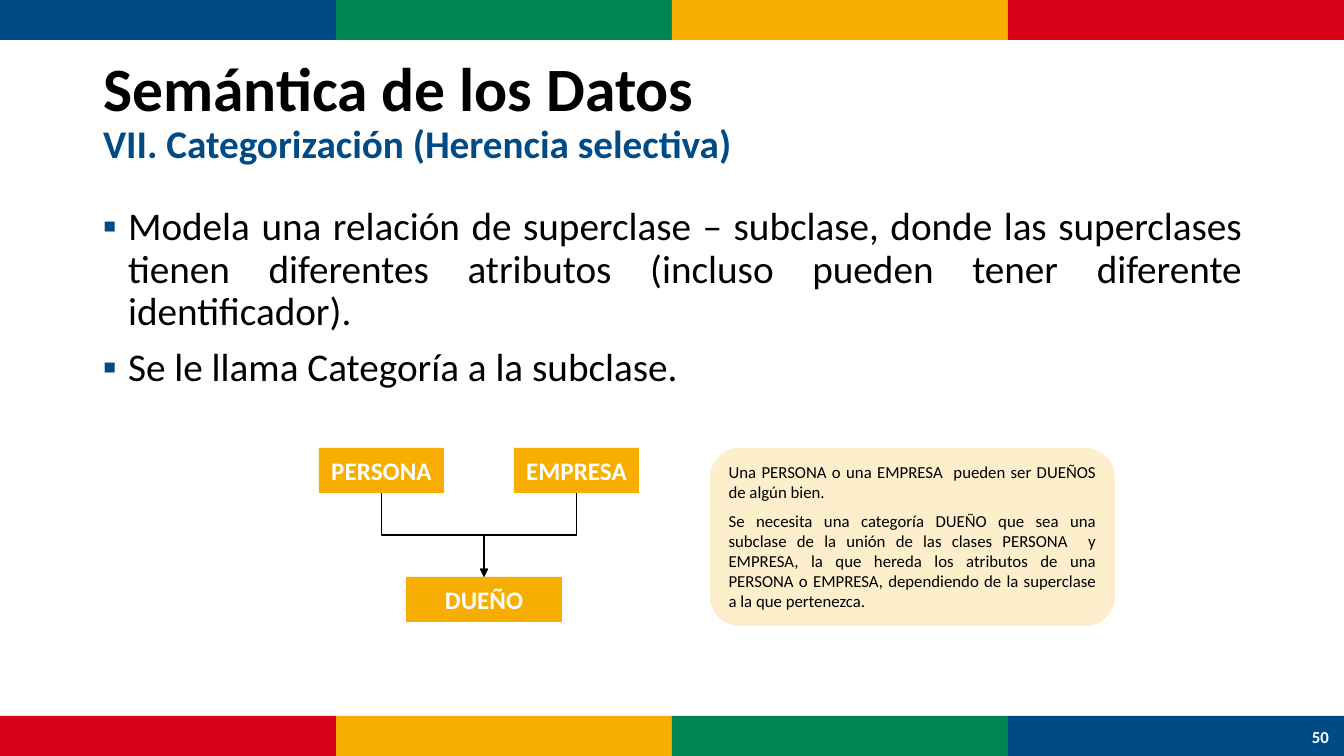
from lxml.etree import SubElement
from pptx import Presentation
from pptx.dml.color import RGBColor
from pptx.enum.shapes import MSO_CONNECTOR as Connector, MSO_SHAPE as Shape
from pptx.enum.text import MSO_ANCHOR as Anchor, MSO_AUTO_SIZE as AutoSize, PP_ALIGN as Align
from pptx.oxml.ns import qn
from pptx.util import Pt

PX = 12192000 / 1344
BLUE, GREEN, AMBER, RED = "004B85", "008452", "F7AE00", "D60019"
BLACK, WHITE = "000000", "FFFFFF"


def px(*lengths):
    return [round(length * PX) for length in lengths]


def write(paragraph, text, size, color, bold=False):
    run = paragraph.add_run()
    run.text = text
    values = {"name": "Calibri", "size": Pt(size), "bold": bold}
    for name, value in values.items():
        setattr(run.font, name, value)
    run.font.color.rgb = RGBColor.from_string(color)


presentation = Presentation()
presentation.slide_width, presentation.slide_height = px(1344, 756)
slide = presentation.slides.add_slide(presentation.slide_layouts[5])
shapes = slide.shapes

# Colour bands along the top and bottom edges
for top, colors in ((0, (BLUE, GREEN, AMBER, RED)), (716, (RED, AMBER, GREEN, BLUE))):
    for column, color in enumerate(colors):
        band = shapes.add_shape(Shape.RECTANGLE, *px(column * 336, top, 336, 40))
        band.shadow.inherit = False
        band.fill.solid()
        band.fill.fore_color.rgb = RGBColor.from_string(color)
        band.line.fill.background()

# Title and subtitle
title = shapes.title
title.left, title.top, title.width, title.height = px(93, 40, 1159, 146)
title.text_frame.auto_size = AutoSize.NONE
title.text_frame.vertical_anchor = Anchor.MIDDLE
heading = title.text_frame.paragraphs[0]
heading.alignment = Align.LEFT
heading.line_spacing = 0.9
write(heading, "Semántica de los Datos", 44, BLACK, True)
heading.add_line_break()
write(heading, "VII. Categorización (Herencia selectiva)", 28, BLUE, True)

# Bulleted body
bullets = (
    "Modela una relación de superclase – subclase, donde las superclases tienen "
    "diferentes atributos (incluso pueden tener diferente identificador).",
    "Se le llama Categoría a la subclase.",
)
body = shapes.add_textbox(*px(93, 202, 1159, 480)).text_frame
body.word_wrap = True
for index, text in enumerate(bullets):
    paragraph = body.add_paragraph() if index else body.paragraphs[0]
    properties = paragraph._p.get_or_add_pPr()
    properties.set("marL", "228600")
    properties.set("indent", "-228600")
    bullet_color = SubElement(properties, qn("a:buClr"))
    SubElement(bullet_color, qn("a:srgbClr"), val=BLUE)
    SubElement(properties, qn("a:buFont"), typeface="Calibri")
    SubElement(properties, qn("a:buChar"), char="▪")
    paragraph.alignment = Align.JUSTIFY
    paragraph.line_spacing = 0.9
    paragraph.space_before = Pt(10 if index else 0)
    write(paragraph, text, 28, BLACK)

# Slide number
number = shapes.add_textbox(*px(1297, 717, 47, 40)).text_frame
number.word_wrap = True
number.vertical_anchor = Anchor.MIDDLE
number.paragraphs[0].alignment = Align.CENTER
write(number.paragraphs[0], "50", 12, WHITE, True)

# Entities of the category diagram
entities = {}
for name, left, top, width in (
    ("DUEÑO", 406, 577, 156),
    ("EMPRESA", 514, 448, 125),
    ("PERSONA", 319, 448, 125),
):
    entity = shapes.add_shape(Shape.RECTANGLE, *px(left, top, width, 45))
    entity.shadow.inherit = False
    entity.fill.solid()
    entity.fill.fore_color.rgb = RGBColor.from_string(AMBER)
    entity.line.fill.background()
    entity.text_frame.vertical_anchor = Anchor.MIDDLE
    entity.text_frame.paragraphs[0].alignment = Align.CENTER
    write(entity.text_frame.paragraphs[0], name, 18, WHITE, True)
    entities[name] = entity

# Elbow arrows: a quarter turn makes them leave the superclass downwards
category = entities["DUEÑO"]
end_x, end_y = category.left + category.width // 2, category.top
for name, turn, flip in (("PERSONA", 270, "1"), ("EMPRESA", 90, "0")):
    entity = entities[name]
    start_x, start_y = entity.left + entity.width // 2, entity.top + entity.height
    arrow = shapes.add_connector(Connector.ELBOW, start_x, start_y, end_x, end_y)
    arrow.begin_connect(entity, 2)
    arrow.end_connect(category, 0)
    length, breadth = end_y - start_y, abs(end_x - start_x)
    arrow.left = (start_x + end_x - length) // 2
    arrow.top = (start_y + end_y - breadth) // 2
    arrow.width, arrow.height = length, breadth
    arrow_properties = arrow._element.spPr
    frame = arrow_properties.find(qn("a:xfrm"))
    for key, value in {"rot": str(turn * 60000), "flipH": flip, "flipV": "0"}.items():
        frame.set(key, value)
    arrow.line.width = Pt(1)
    arrow.line.color.rgb = RGBColor.from_string(BLACK)
    SubElement(arrow_properties.find(qn("a:ln")), qn("a:tailEnd"), type="triangle")
    SubElement(arrow_properties, qn("a:effectLst"))

# Explanatory note
note = shapes.add_shape(Shape.ROUNDED_RECTANGLE, *px(710, 448, 405, 178))
note.shadow.inherit = False
note.fill.solid()
note.fill.fore_color.rgb = RGBColor.from_string(AMBER)
note_color = note._element.spPr.find(qn("a:solidFill")).find(qn("a:srgbClr"))
SubElement(note_color, qn("a:alpha"), val="20000")
note.line.fill.background()
note.text_frame.vertical_anchor = Anchor.TOP
note.text_frame.auto_size = AutoSize.SHAPE_TO_FIT_TEXT
explanations = (
    "Una PERSONA o una EMPRESA  pueden ser DUEÑOS de algún bien.",
    "Se necesita una categoría DUEÑO que sea una subclase de la unión de las clases "
    "PERSONA  y EMPRESA, la que hereda los atributos de una PERSONA o EMPRESA, "
    "dependiendo de la superclase a la que pertenezca.",
)
for index, text in enumerate(explanations):
    paragraph = note.text_frame.add_paragraph() if index else note.text_frame.paragraphs[0]
    paragraph.alignment = Align.JUSTIFY
    paragraph.space_after = Pt(0 if index else 6)
    write(paragraph, text, 12, BLACK)

presentation.save("out.pptx")
